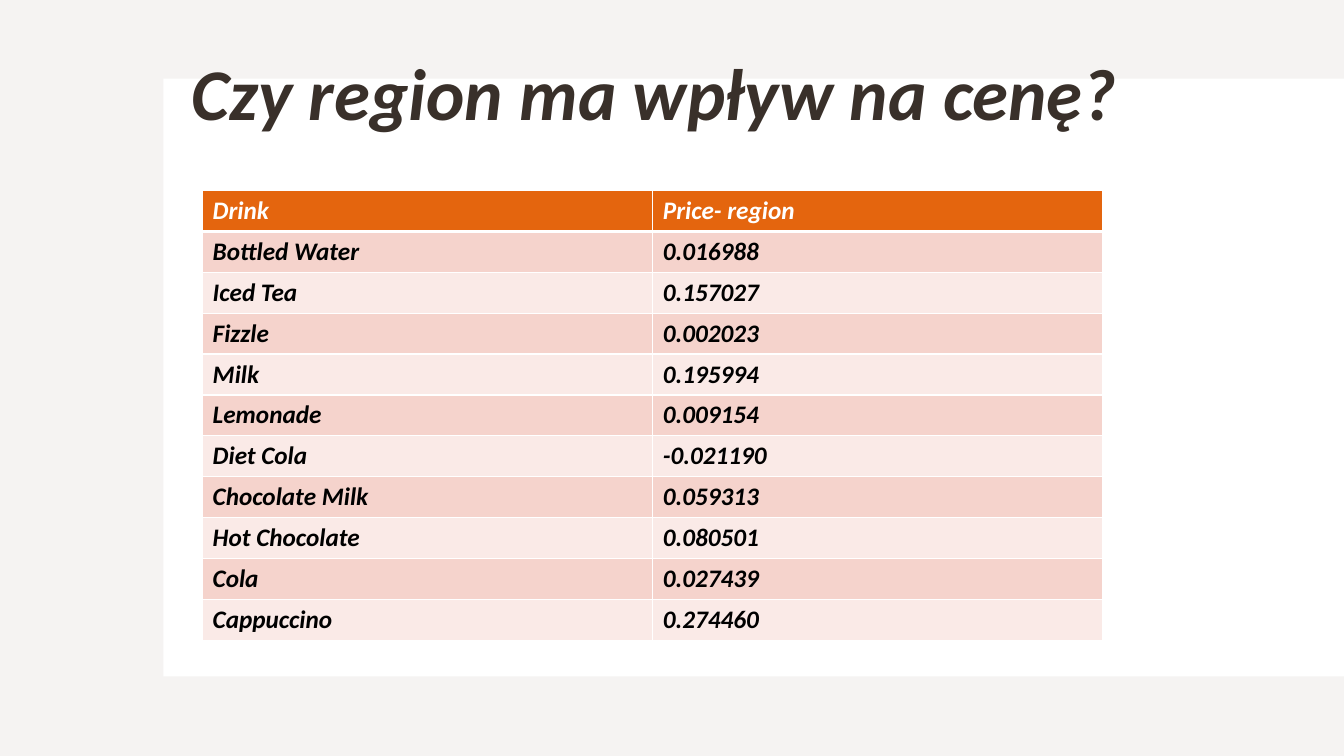
from lxml.etree import SubElement
from pptx import Presentation
from pptx.dml.color import RGBColor
from pptx.enum.shapes import MSO_SHAPE
from pptx.enum.text import MSO_ANCHOR, MSO_AUTO_SIZE, PP_ALIGN
from pptx.oxml import parse_xml
from pptx.oxml.ns import nsdecls, qn
from pptx.util import Inches, Pt

WHITE = RGBColor(0xFF, 0xFF, 0xFF)
BLACK = RGBColor(0, 0, 0)
BROWN = RGBColor(0x39, 0x30, 0x2A)
BEIGE = RGBColor(0xE5, 0xDE, 0xDB)
ORANGE = RGBColor(0xE4, 0x65, 0x0E)
ROSE = RGBColor(0xF5, 0xD3, 0xCC)
PALE_ROSE = RGBColor(0xFA, 0xEA, 0xE7)

DRINKS = [
    ("Drink", "Price- region"),
    ("Bottled Water", "0.016988"),
    ("Iced Tea", "0.157027"),
    ("Fizzle", "0.002023"),
    ("Milk", "0.195994"),
    ("Lemonade", "0.009154"),
    ("Diet Cola", "-0.021190"),
    ("Chocolate Milk", "0.059313"),
    ("Hot Chocolate", "0.080501"),
    ("Cola", "0.027439"),
    ("Cappuccino", "0.274460"),
]


class SlideBuilder:
    text_style = {"name": "Calibri", "bold": True, "italic": True}

    def __init__(self, page):
        self.page = page

    def format_text(self, paragraph, size, color):
        for span in paragraph.runs:
            for name, value in {**self.text_style, "size": Pt(size)}.items():
                setattr(span.font, name, value)
            span.font.color.rgb = color

    def panel(self, left, top, width, height, color, opacity=100):
        box = self.page.shapes.add_shape(
            MSO_SHAPE.RECTANGLE, Inches(left), Inches(top), Inches(width), Inches(height))
        box.shadow.inherit = False
        box.line.fill.background()
        box.fill.solid()
        box.fill.fore_color.rgb = color
        if opacity < 100:
            tint = box.fill._xPr.find(qn("a:solidFill"))[0]
            SubElement(tint, qn("a:alpha")).set("val", str(opacity * 1000))

    def title(self, text, left, top, width, height, size, color):
        title = self.page.shapes.title
        self.page.shapes._spTree.append(title._element)
        place = {"left": left, "top": top, "width": width, "height": height}
        for name, value in place.items():
            setattr(title, name, Inches(value))
        frame = title.text_frame
        frame.text = text
        frame_style = {"word_wrap": True, "auto_size": MSO_AUTO_SIZE.NONE,
                       "vertical_anchor": MSO_ANCHOR.MIDDLE}
        for name, value in frame_style.items():
            setattr(frame, name, value)
        paragraph = frame.paragraphs[0]
        paragraph.alignment = PP_ALIGN.LEFT
        paragraph.line_spacing = 0.9
        self.format_text(paragraph, size, color)

    def borders(self, cell, widths):
        properties = cell._tc.get_or_add_tcPr()
        for position, (side, width) in enumerate(widths.items()):
            properties.insert(position, parse_xml(
                f'<a:ln{side} {nsdecls("a")} w="{Pt(width)}"><a:solidFill>'
                f'<a:srgbClr val="{WHITE}"/></a:solidFill></a:ln{side}>'))

    def table(self, rows, left, top, width, height, size):
        table = self.page.shapes.add_table(
            len(rows), len(rows[0]),
            Inches(left), Inches(top), Inches(width), Inches(height)).table
        for row_number, row in enumerate(rows):
            header = row_number == 0
            fill = ORANGE if header else (PALE_ROSE, ROSE)[row_number % 2]
            widths = {"L": 1, "R": 1, "T": 3 if row_number == 1 else 1, "B": 3 if header else 1}
            for column_number, text in enumerate(row):
                cell = table.cell(row_number, column_number)
                cell.text = text
                cell.fill.solid()
                cell.fill.fore_color.rgb = fill
                self.borders(cell, widths)
                self.format_text(cell.text_frame.paragraphs[0], size, WHITE if header else BLACK)


deck = Presentation()
deck.slide_width = Inches(13.33)
deck.slide_height = Inches(7.5)
builder = SlideBuilder(deck.slides.add_slide(deck.slide_layouts[5]))
builder.panel(0, 0, 13.33, 7.5, BEIGE, opacity=35)
builder.panel(1.62, 0.78, 11.71, 5.93, WHITE)
builder.title("Czy region ma wpływ na cenę?", 1.8, 0.24, 11.53, 1.45, 52, BROWN)
builder.table(DRINKS, 2.01, 1.89, 8.93, 4.46, 18)
deck.save("out.pptx")
